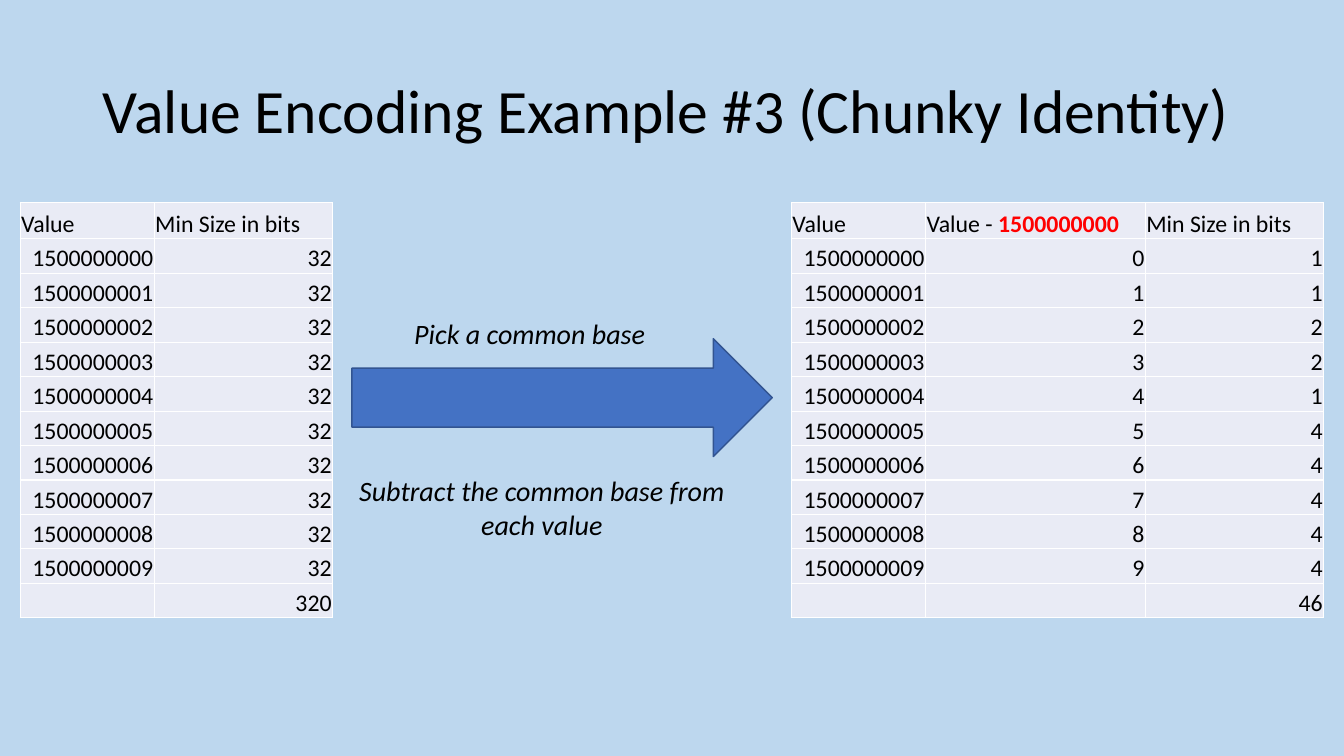
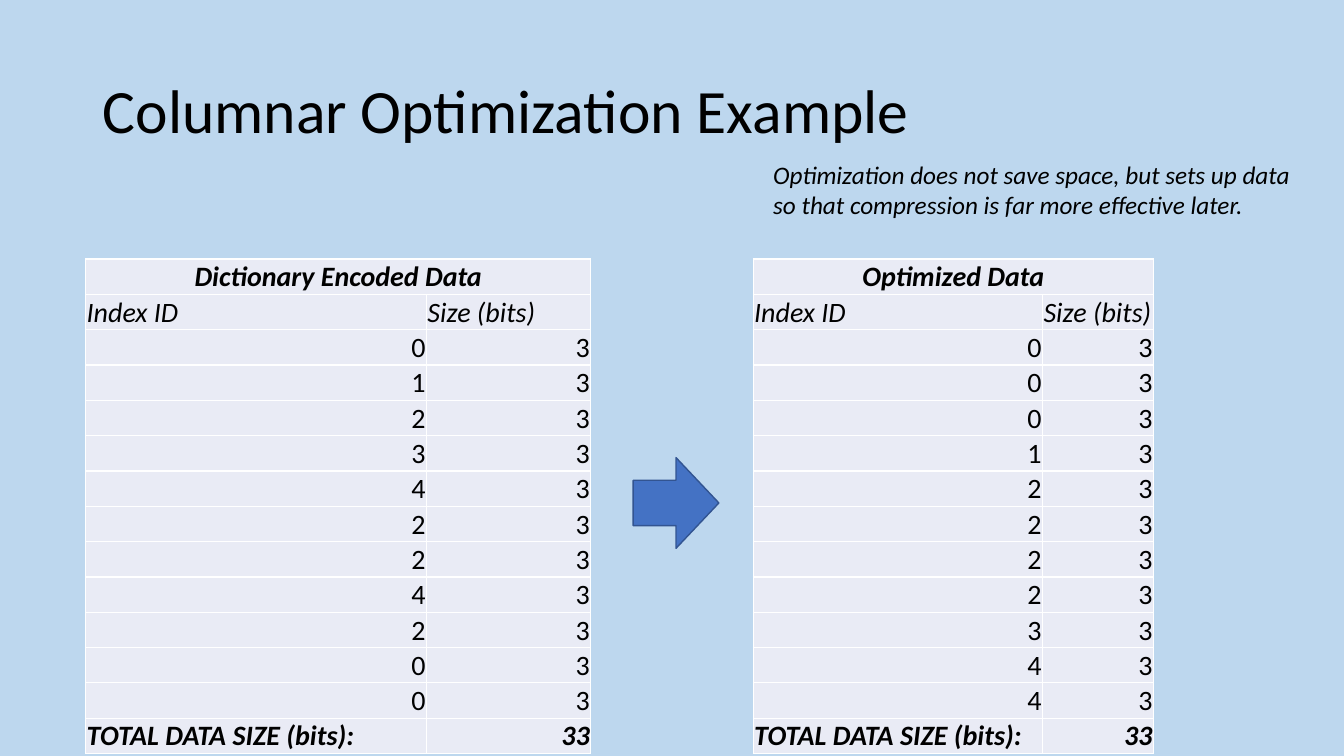
from dataclasses import dataclass

from lxml.etree import SubElement
from pptx import Presentation
from pptx.dml.color import RGBColor
from pptx.enum.shapes import MSO_SHAPE
from pptx.enum.text import MSO_ANCHOR, MSO_AUTO_SIZE, PP_ALIGN
from pptx.oxml.ns import qn
from pptx.util import Inches, Pt


@dataclass(frozen=True)
class Theme:
    font: str = "Calibri"
    back: str = "BDD7EE"
    ink: str = "000000"
    key: str = "FF0000"
    cell: str = "E9EBF5"
    rule: str = "FFFFFF"
    arrow: str = "4472C4"
    edge: str = "325491"
    title: int = 44
    body: int = 20
    note: int = 18
    small: int = 17


T = Theme()
TITLE = (0.92, 0.4, 11.5, 1.45)
STRONG = dict(bold=True, italic=True)


def rgb(code):
    return RGBColor.from_string(code)


def place(box):
    return [Inches(x) for x in box]


def write(frame, paras, size=T.body, color=T.ink, bold=False, italic=False,
          align=PP_ALIGN.LEFT, space=None):
    """Each paragraph is a string or a list of (text, colour, bold) runs."""
    for i, para in enumerate(paras):
        p = frame.paragraphs[0] if i == 0 else frame.add_paragraph()
        p.alignment = align
        if space:
            p.line_spacing = space
        runs = [(para, color, bold)] if isinstance(para, str) else para
        for text, tint, heavy in runs:
            run = p.add_run()
            run.text = text
            font = run.font
            font.name, font.size = T.font, Pt(size)
            font.bold, font.italic = heavy, italic
            font.color.rgb = rgb(tint)


def page(prs, text):
    slide = prs.slides.add_slide(prs.slide_layouts[5])
    title = slide.shapes.title
    title.left, title.top, title.width, title.height = place(TITLE)
    frame = title.text_frame
    frame.auto_size = MSO_AUTO_SIZE.NONE
    frame.vertical_anchor = MSO_ANCHOR.MIDDLE
    write(frame, [text], size=T.title, space=0.9)
    return slide


def note(slide, box, paras, wrap=True, **form):
    frame = slide.shapes.add_textbox(*place(box)).text_frame
    frame.word_wrap = wrap
    write(frame, paras, italic=True, **form)


def arrow(slide, box):
    shape = slide.shapes.add_shape(MSO_SHAPE.RIGHT_ARROW, *place(box))
    shape.shadow.inherit = False
    shape.fill.solid()
    shape.fill.fore_color.rgb = rgb(T.arrow)
    shape.line.color.rgb = rgb(T.edge)
    shape.line.width = Pt(1)


def dress(cell):
    """Thin margins, white borders and a plain fill."""
    cell.margin_left = cell.margin_right = cell.margin_top = Inches(0.01)
    cell.margin_bottom = 0
    cell.vertical_anchor = MSO_ANCHOR.BOTTOM
    props = cell._tc.get_or_add_tcPr()
    for side in ("lnL", "lnR", "lnT", "lnB"):
        line = SubElement(props, qn(f"a:{side}"), w=str(Pt(1)))
        SubElement(SubElement(line, qn("a:solidFill")),
                   qn("a:srgbClr"), val=T.rule)
    cell.fill.solid()
    cell.fill.fore_color.rgb = rgb(T.cell)


def grid(slide, box, cols, rows, head, size, looks):
    """A one-cell row spans the table; looks maps a row number to its format."""
    count = len(rows)
    table = slide.shapes.add_table(count, len(cols), *place(box)).table
    table.first_row = table.horz_banding = False
    for col, width in zip(table.columns, cols):
        col.width = Inches(width)
    for r, row in enumerate(rows):
        high = head if r == 0 else (box[3] - head) / (count - 1)
        table.rows[r].height = Inches(high)
        for c in range(len(cols)):
            dress(table.cell(r, c))
        if len(row) == 1:
            table.cell(r, 0).merge(table.cell(r, len(cols) - 1))
        for c, value in enumerate(row):
            if value == "":
                continue
            number = isinstance(value, int)
            form = dict(align=PP_ALIGN.RIGHT if number else PP_ALIGN.LEFT)
            form.update(looks.get(r, {}))
            write(table.cell(r, c).text_frame,
                  [str(value) if number else value], size=size, **form)


def value_page(prs):
    slide = page(prs, "Value Encoding Example #3 (Chunky Identity)")
    base, bits = 1500000000, "Min Size in bits"
    sizes = [1, 1, 2, 2, 1, 4, 4, 4, 4, 4]

    # Step between the tables
    arrow(slide, (3.49, 3.36, 4.17, 1.17))
    note(slide, (4.01, 3.09, 2.65, 0.45), ["Pick a common base"])
    note(slide, (3.34, 4.65, 4.07, 0.8),
         ["Subtract the common base from", "each value"],
         align=PP_ALIGN.CENTER)

    # Values before and after
    before = [["Value", bits], *([base + i, 32] for i in range(10)),
              ["", 320]]
    minus = [("Value - ", T.ink, False), (str(base), T.key, True)]
    after = [["Value", minus, bits],
             *([base + i, i, size] for i, size in enumerate(sizes)),
             ["", "", 46]]
    for left, cols, rows in ((0.2, (1.33, 1.77), before),
                             (7.85, (1.33, 2.18, 1.77), after)):
        grid(slide, (left, 2.01, sum(cols), 4.12), cols, rows,
             head=0.36, size=T.small, looks={})


def sort_page(prs):
    slide = page(prs, "Columnar Optimization Example")
    data = [0, 1, 2, 3, 4, 2, 2, 4, 2, 0, 0]

    # Index tables, as read and sorted
    for left, cols, name, keys in (
            (0.85, (3.38, 1.63), "Dictionary Encoded Data", data),
            (7.47, (2.87, 1.1), "Optimized Data", sorted(data))):
        rows = [[name], ["Index ID", "Size (bits)"],
                *([key, 3] for key in keys),
                ["TOTAL DATA SIZE (bits):", 3 * len(keys)]]
        looks = {0: dict(STRONG, align=PP_ALIGN.CENTER),
                 1: dict(italic=True), len(rows) - 1: STRONG}
        grid(slide, (left, 2.57, sum(cols), 4.9), cols, rows,
             head=0.35, size=T.body, looks=looks)

    # Step and remark
    arrow(slide, (6.28, 4.54, 0.85, 0.9))
    note(slide, (7.57, 1.53, 5.41, 0.71),
         ["Optimization does not save space, but sets up data",
          "so that compression is far more effective later."],
         wrap=False, size=T.note)


def main():
    prs = Presentation()
    prs.slide_width, prs.slide_height = Inches(13.33), Inches(7.5)
    fill = prs.slide_master.background.fill
    fill.solid()
    fill.fore_color.rgb = rgb(T.back)
    value_page(prs)
    sort_page(prs)
    prs.save("out.pptx")


if __name__ == "__main__":
    main()
